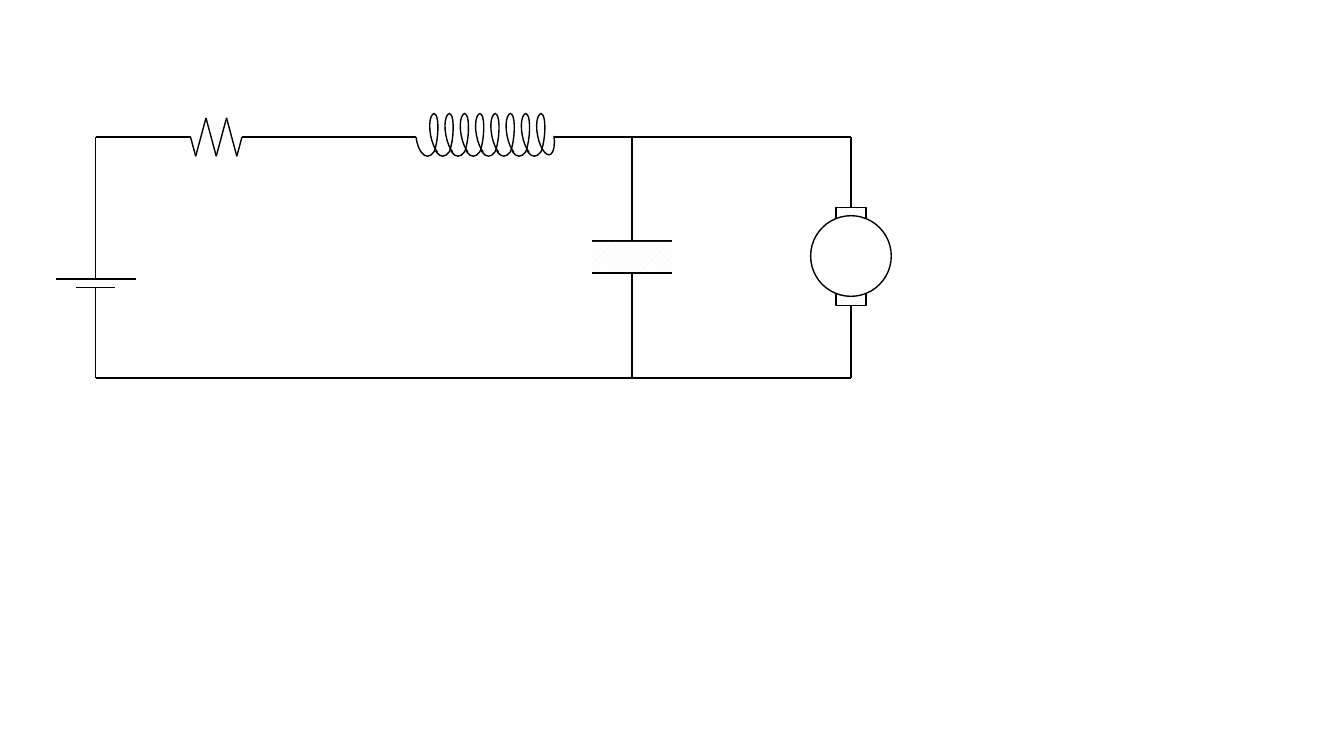
from itertools import pairwise

from lxml import etree
from pptx import Presentation
from pptx.dml.color import RGBColor
from pptx.enum.dml import MSO_PATTERN
from pptx.enum.shapes import MSO_CONNECTOR, MSO_SHAPE
from pptx.oxml.ns import qn
from pptx.util import Inches, Pt

BLACK = RGBColor(0x00, 0x00, 0x00)
WHITE = RGBColor(0xFF, 0xFF, 0xFF)
PALE_GREY = RGBColor(0xF2, 0xF2, 0xF2)

STRAIGHT = MSO_CONNECTOR.STRAIGHT
ARC, RECT, OVAL = MSO_SHAPE.ARC, MSO_SHAPE.RECTANGLE, MSO_SHAPE.OVAL
HATCH = MSO_PATTERN.WIDE_UPWARD_DIAGONAL

# Rails and branches of the circuit, in inches
TOP, BOTTOM = 1.36, 3.75
BATTERY_X, CAPACITOR_X, MOTOR_X = 0.95, 6.27, 8.44
RESISTOR_X, RESISTOR_END = 1.89, 2.4
COIL_X, COIL_END = 4.13, 5.49


def add_line(shapes, x1, y1, x2, y2):
    s = shapes.add_connector(STRAIGHT, Inches(x1), Inches(y1), Inches(x2), Inches(y2))
    s.line.color.rgb = BLACK
    s.line.width = Pt(1)
    etree.SubElement(s._element.spPr, qn("a:effectLst"))
    return s


def add_outline(shapes, kind, x, y, w, h):
    s = shapes.add_shape(kind, Inches(x), Inches(y), Inches(w), Inches(h))
    s.shadow.inherit = False
    s.fill.background()
    s.line.color.rgb = BLACK
    s.line.width = Pt(1)
    return s


def add_arc(shapes, x, y, w, h, start, end, rotation=0, flip=False):
    s = add_outline(shapes, ARC, x, y, w, h)
    s.adjustments[0], s.adjustments[1] = start, end
    s.rotation = rotation
    if flip:
        s._element.spPr.get_or_add_xfrm().set("flipH", "1")


def add_resistor(shapes, x, y, w, h):
    """Zigzag starting and ending on the line y."""
    group = shapes.add_group_shape().shapes
    step = w / 10
    points = [(x, y)]
    for i in range(5):
        points.append((x + step * (2 * i + 1), y + (h / 2 if i % 2 == 0 else -h / 2)))
    points.append((x + w, y))
    for start, end in pairwise(points):
        add_line(group, *start, *end)


def add_inductor(shapes, x, y, loops, pitch):
    """Each loop is a right side, a left side and a bottom link."""
    group = shapes.add_group_shape().shapes
    for i in range(loops):
        left = x + i * pitch
        first, last = i == 0, i == loops - 1
        add_arc(group, left + 0.11, y - 0.23, 0.1, 0.42, 161.88, 46.6, 5.6)
        add_arc(group, left + 0.14, y - 0.24, 0.16, 0.42, 161.88,
                93.82 if last else 45.1, 349.1, True)
        add_arc(group, left - 0.01, y - 0.37, 0.24, 0.56,
                23.33 if first else 43.53, 64.15, flip=True)


def add_battery(shapes, x, top, bottom):
    group = shapes.add_group_shape().shapes
    long_y, short_y = 2.77, 2.85
    add_line(group, x, bottom, x, short_y)
    add_line(group, x, long_y, x, top)
    for y, half in ((long_y, 0.395), (short_y, 0.195)):
        add_line(group, x - half, y, x + half, y)


def add_capacitor(shapes, x, y, w, gap):
    """Two plates around the centre (x, y), with leads and a dielectric."""
    group = shapes.add_group_shape().shapes
    lead = 0.21
    for side in (1, -1):
        plate = y + side * gap / 2
        add_line(group, x, plate + side * lead, x, plate)
        add_line(group, x - w / 2, plate, x + w / 2, plate)
    s = add_outline(group, RECT, x - w / 2, y - 0.15, w, 0.29)
    s.fill.patterned()
    s.fill.pattern = HATCH
    s.fill.fore_color.rgb = PALE_GREY
    s.fill.back_color.rgb = WHITE
    s.line.fill.background()


def add_motor(shapes, x, y, size):
    """Circle around (x, y) over two brushes, which are returned."""
    group = shapes.add_group_shape().shapes
    upper = add_outline(group, RECT, x - 0.15, y - 0.48, 0.3, 0.25)
    lower = add_outline(group, RECT, x - 0.15, y + 0.22, 0.3, 0.27)
    s = add_outline(group, OVAL, x - size / 2, y - size / 2, size, size)
    s.fill.solid()
    s.fill.fore_color.rgb = WHITE
    return upper, lower


def add_circuit(shapes):
    # Components on the top rail
    add_resistor(shapes, RESISTOR_X, TOP, RESISTOR_END - RESISTOR_X, 0.38)
    add_inductor(shapes, COIL_X, TOP, 8, 0.1515)
    for start, end in ((CAPACITOR_X, COIL_END), (COIL_X, RESISTOR_END),
                       (RESISTOR_X, BATTERY_X)):
        add_line(shapes, start, TOP, end, TOP)

    # Battery branch
    add_battery(shapes, BATTERY_X, TOP, BOTTOM)

    # Capacitor branch
    add_line(shapes, CAPACITOR_X, 2.32, CAPACITOR_X, TOP)
    add_line(shapes, CAPACITOR_X, BOTTOM, CAPACITOR_X, 2.78)
    add_capacitor(shapes, CAPACITOR_X, 2.55, 0.79, 0.32)
    add_line(shapes, CAPACITOR_X, BOTTOM, BATTERY_X, BOTTOM)

    # Motor branch
    add_line(shapes, MOTOR_X, TOP, CAPACITOR_X, TOP)
    upper_wire = add_line(shapes, MOTOR_X, 2.06, MOTOR_X, TOP)
    lower_wire = add_line(shapes, MOTOR_X, BOTTOM, MOTOR_X, 3.03)
    add_line(shapes, MOTOR_X, BOTTOM, CAPACITOR_X, BOTTOM)
    upper, lower = add_motor(shapes, MOTOR_X, 2.54, 0.8)
    upper_wire.begin_connect(upper, 0)
    lower_wire.end_connect(lower, 2)


def main():
    prs = Presentation()
    prs.slide_width, prs.slide_height = Inches(13.33), Inches(7.5)
    slide = prs.slides.add_slide(prs.slide_layouts[6])
    add_circuit(slide.shapes)
    prs.save("out.pptx")


if __name__ == "__main__":
    main()
